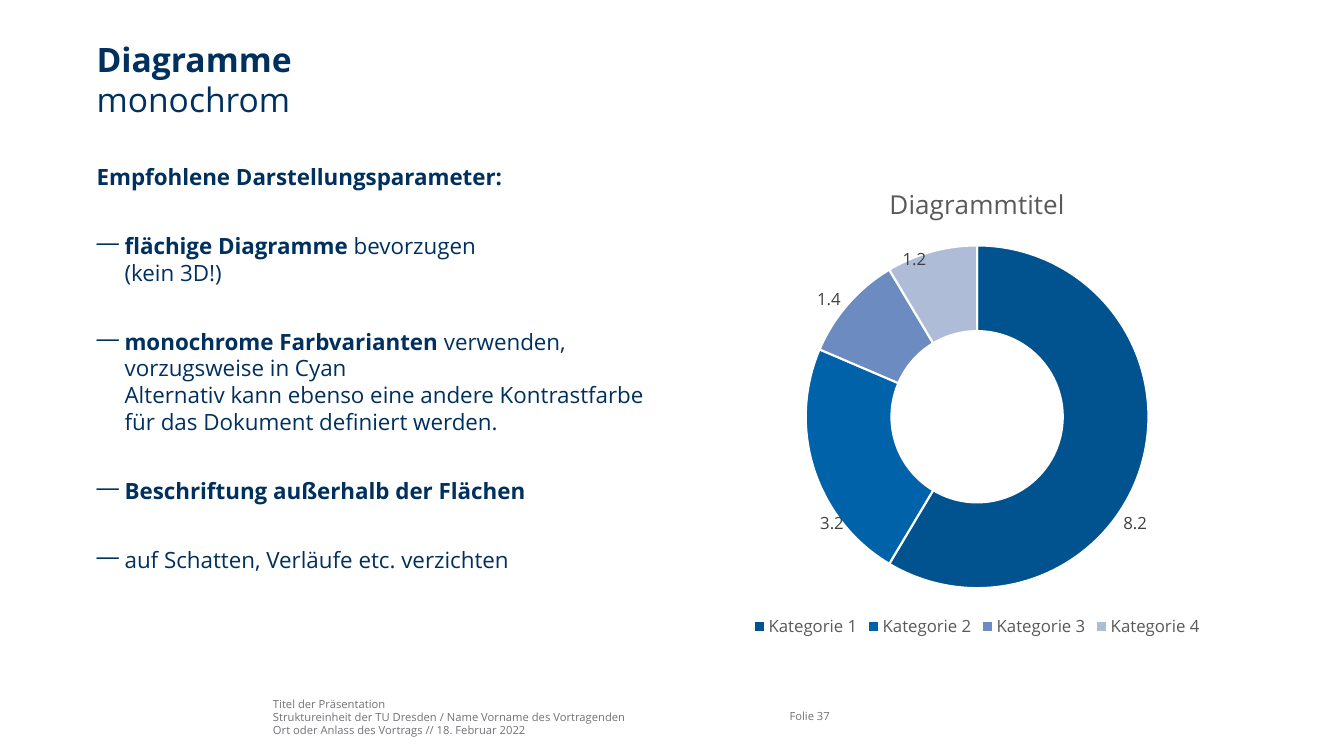
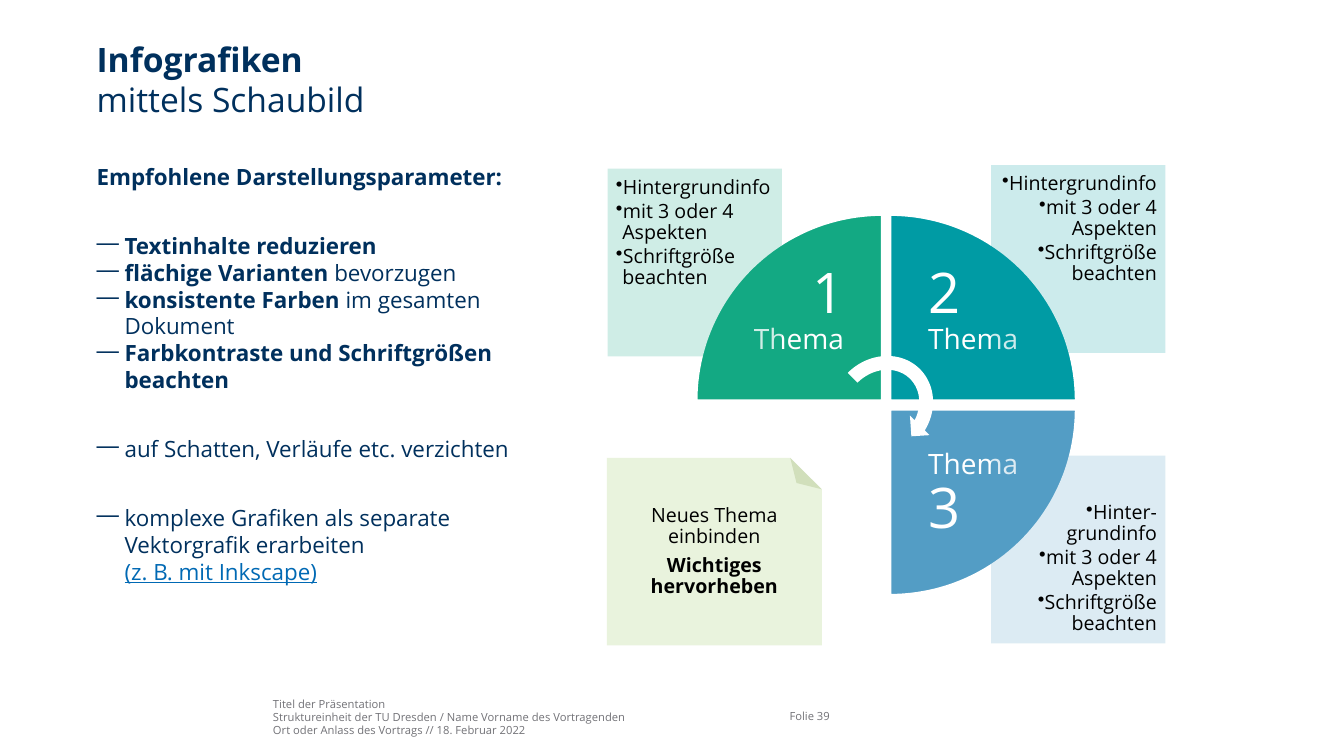
from math import cos, radians, sin

from lxml import etree
from pptx import Presentation
from pptx.chart.data import CategoryChartData
from pptx.dml.color import RGBColor
from pptx.enum import chart as charts, shapes, text
from pptx.oxml import parse_xml
from pptx.oxml.ns import nsdecls, qn
from pptx.util import Pt

FONT = "Open Sans"
COLORS = {
    "navy": "00305D", "grey": "727277", "link": "0069B4",
    "white": "FFFFFF", "black": "000000",
    "chart_text": "595959", "label": "404040",
    "green": "13A983", "teal": "009BA4", "blue": "539DC5",
    "note": "93C356", "fold": "718F33",
}
RING_COLORS = ["00538E", "0062A9", "6C8CC1", "AFBCD8"]
TEXT_SPACING, GRAPHIC_SPACING = 1.0, 0.9
LEFT, RIGHT_EDGE, BODY_TOP = 69, 902, 116.5
FOOTER = [
    "Titel der Präsentation",
    "Struktureinheit der TU Dresden / Name Vorname des Vortragenden",
    "Ort oder Anlass des Vortrags // 18. Februar 2022",
]
RIGHT, CENTER = text.PP_ALIGN.RIGHT, text.PP_ALIGN.CENTER
TOP, MIDDLE, BOTTOM = (text.MSO_ANCHOR.TOP, text.MSO_ANCHOR.MIDDLE,
                       text.MSO_ANCHOR.BOTTOM)


def rgb(name):
    return RGBColor.from_string(COLORS.get(name, name))


def style_font(font, size, color, bold=None):
    font.name, font.size, font.bold = FONT, Pt(size), bold
    font.color.rgb = rgb(color)


def prepare_frame(shape, anchor=TOP, insets=(0, 0, 0, 0)):
    """Set wrapping, anchor and insets (left, top, right, bottom)."""
    frame = shape.text_frame
    frame.word_wrap = True
    frame.vertical_anchor = anchor
    (frame.margin_left, frame.margin_top,
     frame.margin_right, frame.margin_bottom) = map(Pt, insets)
    return frame


def add_text_box(slide, box, anchor=TOP):
    return prepare_frame(slide.shapes.add_textbox(*map(Pt, box)), anchor)


def add_paragraph(frame, runs, size, color, spacing=TEXT_SPACING, align=None,
                  bullet=None, indent=0, before=0, after=0):
    """Append runs of (text, font settings); a newline is a line break."""
    first = frame.paragraphs[0]
    paragraph = frame.add_paragraph() if first.runs else first
    paragraph.line_spacing = spacing
    paragraph.space_before, paragraph.space_after = Pt(before), Pt(after)
    paragraph.alignment = align
    if bullet:
        properties = paragraph._p.get_or_add_pPr()
        properties.set("marL", str(Pt(indent)))
        properties.set("indent", str(-Pt(indent)))
        etree.SubElement(properties, qn("a:buChar"), char=bullet)
    style_font(paragraph.font, size, color)
    for content, settings in runs:
        for number, line in enumerate(content.split("\n")):
            if number:
                paragraph.add_line_break()
            if line:
                run = paragraph.add_run()
                run.text = line
                apply_settings(run.font, **settings)


def apply_settings(font, bold=None, size=None, color=None, underline=None):
    font.bold, font.underline = bold, underline
    if size:
        font.size = Pt(size)
    if color:
        font.color.rgb = rgb(color)


def bold(content):
    return content, {"bold": True}


def plain(content):
    return content, {}


def add_content_slide(presentation, title, subtitle, number):
    slide = presentation.slides.add_slide(presentation.slide_layouts[6])
    footer = add_text_box(slide, (195, 497.5, 353, 29), BOTTOM)
    for line in FOOTER:
        add_paragraph(footer, [plain(line)], 8, "grey")
    folio = add_text_box(slide, (564, 496.5, 55, 20), BOTTOM)
    add_paragraph(folio, [plain(f"Folie {number}")], 8, "grey")
    heading = add_text_box(slide, (LEFT, 27.5, RIGHT_EDGE - LEFT, 54))
    add_paragraph(heading, [bold(title), plain("\n" + subtitle)], 24, "navy")
    return slide


def add_advice(slide, box, groups):
    """Write the lead line, then groups of dashed items set apart by space."""
    frame = add_text_box(slide, box)
    add_paragraph(frame, [bold("Empfohlene Darstellungsparameter:")],
                  16, "navy")
    for group in groups:
        for position, runs in enumerate(group):
            add_paragraph(frame, runs, 16, "navy", bullet="—", indent=20,
                          before=0 if position else 30)


def manual_layout(inner=False, **fractions):
    target = '<c:layoutTarget val="inner"/>' if inner else ""
    modes = '<c:xMode val="edge"/><c:yMode val="edge"/>' if inner else ""
    values = "".join(f'<c:{key} val="{value}"/>'
                     for key, value in fractions.items())
    return parse_xml(f'<c:layout {nsdecls("c")}><c:manualLayout>{target}'
                     f'{modes}{values}</c:manualLayout></c:layout>')


def add_ring_chart(slide, box):
    data = CategoryChartData()
    data.categories = [f"Kategorie {number}" for number in range(1, 5)]
    data.add_series("Series 1", (8.2, 3.2, 1.4, 1.2))
    chart = slide.shapes.add_chart(charts.XL_CHART_TYPE.DOUGHNUT,
                                   *map(Pt, box), data).chart
    style_font(chart.font, 10, "black")
    chart.has_title = True
    title = chart.chart_title.text_frame.paragraphs[0]
    title.add_run().text = "Diagrammtitel"
    style_font(title.runs[0].font, 18.6, "chart_text", False)
    chart.has_legend = True
    chart.legend.position = charts.XL_LEGEND_POSITION.BOTTOM
    chart.legend.include_in_layout = False
    style_font(chart.legend.font, 12, "chart_text")

    plot = chart.plots[0]
    plot.vary_by_categories = True
    plot._element.find(qn("c:holeSize")).set("val", "75")
    area = plot._element.getparent()
    for layout in area.findall(qn("c:layout")):
        area.remove(layout)
    area.insert(0, manual_layout(True, x=0.2, y=0.17, w=0.6, h=0.72))

    series = plot.series[0]
    labels = series.data_labels
    labels.show_value = True
    labels.number_format, labels.number_format_is_linked = "0.0", False
    style_font(labels.font, 12, "label")
    for leader in labels._element.findall(qn("c:showLeaderLines")):
        leader.set("val", "0")
    for index, color in enumerate(RING_COLORS):
        ring_part = series.points[index].format
        ring_part.fill.solid()
        ring_part.fill.fore_color.rgb = rgb(color)
        ring_part.line.color.rgb = rgb("white")
        ring_part.line.width = Pt(1.5)

    offsets = [(0.06, 0.15), (-0.04, 0.14), (-0.09, -0.07), (-0.05, -0.07)]
    for index, (x, y) in enumerate(offsets):
        style_font(series.points[index].data_label.font, 12, "label")
        label = labels._element.findall(qn("c:dLbl"))[index]
        label.find(qn("c:idx")).addnext(manual_layout(x=x, y=y))
        for flag in ("c:showLegendKey", "c:showCatName", "c:showSerName",
                     "c:showPercent"):
            label.find(qn(flag)).set("val", "0")


def paint(shape, color, opacity=100, outline=None):
    shape.shadow.inherit = False
    shape.fill.solid()
    shape.fill.fore_color.rgb = rgb(color)
    if opacity < 100:
        value = shape._element.spPr.find(".//" + qn("a:srgbClr"))
        etree.SubElement(value, qn("a:alpha"), val=str(opacity * 1000))
    if outline:
        shape.line.color.rgb = rgb(outline)
        shape.line.width = Pt(1.5)
    else:
        shape.line.fill.background()


def add_outline(slide, points):
    start, *others = [(Pt(x), Pt(y)) for x, y in points]
    builder = slide.shapes.build_freeform(*start)
    builder.add_line_segments(others, close=True)
    return builder.convert_to_shape()


def add_quarter(slide, corner, start, color, runs, insets, align=None):
    """Draw a quarter disc clockwise from the start angle in degrees."""
    x, y = corner
    radius = 132.5
    arc = [(x + radius * cos(radians(angle)), y + radius * sin(radians(angle)))
           for angle in range(start, start + 91, 2)]
    quarter = add_outline(slide, [corner, *arc])
    paint(quarter, color, outline="white")
    add_paragraph(prepare_frame(quarter, MIDDLE, insets), runs, 20, "white",
                  GRAPHIC_SPACING, align)


def add_info_box(slide, box, color, first_item, align=None, anchor=TOP):
    info = slide.shapes.add_shape(shapes.MSO_SHAPE.RECTANGLE, *map(Pt, box))
    paint(info, color, 20)
    frame = prepare_frame(info, anchor, (6, 6, 6, 6))
    for item in (first_item, "mit 3 oder 4 Aspekten", "Schriftgröße beachten"):
        add_paragraph(frame, [plain(item)], 14, "black", GRAPHIC_SPACING,
                      align or text.PP_ALIGN.LEFT, "•", 4.5, after=2)


def add_note(slide, box):
    left, top, width, height = box
    right, bottom, fold = left + width, top + height, 22.5
    cut = [(right - fold, top), (right, top + fold)]
    note = add_outline(slide, [(left, top), *cut, (right, bottom),
                               (left, bottom)])
    paint(note, "note", 20)
    frame = prepare_frame(note, MIDDLE, (11.5,) * 4)
    for run in (plain("Neues Thema einbinden"), bold("Wichtiges hervorheben")):
        add_paragraph(frame, [run], 14, "black", GRAPHIC_SPACING, CENTER,
                      after=5)
    paint(add_outline(slide, [*cut, (right - 18, top + 18)]), "fold", 20)


def add_topic_wheel(slide, left, top):
    def at(x, y, *size):
        return (left + x, top + y, *size)

    def digit(content):
        return content, {"size": 40}

    add_quarter(slide, at(196.5, 168), 180, "green",
                [digit("1"), plain("\nThema")], (37.5, 37.5, 27, 34), RIGHT)
    add_quarter(slide, at(202.5, 168), 270, "teal",
                [digit("2"), plain("\nThema")], (27, 37.5, 37.5, 34))
    add_quarter(slide, at(202.5, 174.5), 0, "blue",
                [plain("Thema\n"), digit("3")], (27, 28, 37.5, 37.5))
    size = (124.5, 134)
    add_info_box(slide, at(0.5, 2.5, *size), "green", "Hintergrundinfo")
    add_info_box(slide, at(274.5, 0, *size), "teal", "Hintergrundinfo", RIGHT)
    add_info_box(slide, at(274.5, 207.5, *size), "blue", "Hinter-grundinfo",
                 RIGHT, BOTTOM)
    add_note(slide, at(0, 209, 153.5, 134))
    arrow = slide.shapes.add_shape(shapes.MSO_SHAPE.CIRCULAR_ARROW,
                                   *map(Pt, at(157, 129.5, 79, 86.5)))
    arrow.rotation = 45
    paint(arrow, "white")


def main():
    presentation = Presentation()
    presentation.slide_width, presentation.slide_height = Pt(960), Pt(540)
    no_effects = [plain("auf Schatten, Verläufe etc. verzichten")]

    slide = add_content_slide(presentation, "Diagramme", "monochrom", 37)
    add_advice(slide, (LEFT, BODY_TOP, 409, 342), [
        [[bold("flächige Diagramme "), plain("bevorzugen\n(kein 3D!)")]],
        [[bold("monochrome Farbvarianten"),
          plain(" verwenden, vorzugsweise in Cyan\nAlternativ kann ebenso eine "
                "andere Kontrastfarbe für das Dokument definiert werden.")]],
        [[bold("Beschriftung außerhalb der Flächen")]],
        [no_effects],
    ])
    add_ring_chart(slide, (494, BODY_TOP, 408, 342))

    slide = add_content_slide(presentation, "Infografiken",
                              "mittels Schaubild", 39)
    add_advice(slide, (LEFT, BODY_TOP, 339, 335), [
        [[bold("Textinhalte reduzieren")],
         [bold("flächige Varianten "), plain("bevorzugen")],
         [bold("konsistente Farben"), plain(" im gesamten Dokument")],
         [bold("Farbkontraste und Schriftgrößen beachten")]],
        [no_effects],
        [[plain("komplexe Grafiken als separate Vektorgrafik erarbeiten\n"),
          ("(z. B. mit Inkscape)", {"color": "link", "underline": True})]],
    ])
    add_topic_wheel(slide, 433.5, 118)
    presentation.save("out.pptx")


if __name__ == "__main__":
    main()
